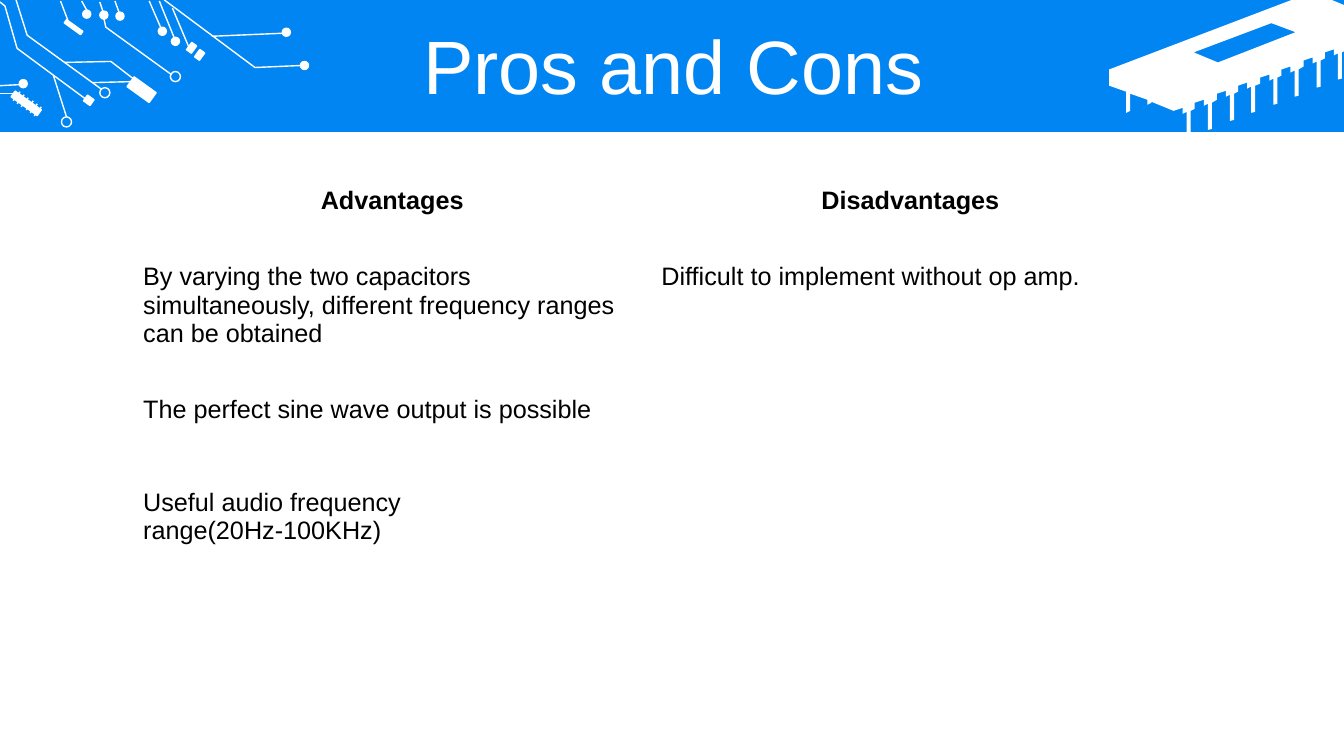
from pptx import Presentation
from pptx import util as u
from pptx.dml.color import RGBColor
from pptx.enum import shapes, text
from pptx.oxml.ns import qn
from lxml import etree

# Content
TITLE = "Pros and Cons"
ROWS = [
    ("Advantages", "Disadvantages"),
    ("By varying the two capacitors simultaneously, different frequency ranges can be obtained",
     "Difficult to implement without op amp."),
    ("The perfect sine wave output is possible", ""),
    ("Useful audio frequency range(20Hz-100KHz)", ""),
    ("", ""),
]
ROW_HEIGHTS = [76, 132, 92, 92, 76]
COLUMN_WIDTH = 514
FONT, BLUE, WHITE, BLACK = "Arial", "0085F2", "FFFFFF", "000000"

# Circuit artwork: left, top, width, height of parts; corner points of traces
TILT = 35.7
COMPONENTS = [(127, 83, 27, 12), (63, 25, 20, 4), (84, 96, 8, 7),
              (187, 43, 6, 9), (195, 50, 6, 9), (10, 99, 32, 7)]
DOT, RING = 8, 10
DOTS = [(298, 61), (280, 28), (82, 10), (99, 11), (115, 12), (19, 79), (170, 37), (157, 27)]
RINGS = [(169, 71), (99, 87), (61, 116)]
TRACES = [
    [(163, 0), (253, 67), (299, 65)],
    [(16, 0), (27, 35), (100, 88)],
    [(0, 2), (5, 6), (17, 48), (86, 99)],
    [(64, 62), (110, 61), (132, 78)],
    [(103, 18), (105, 27), (170, 74)],
    [(60, 1), (68, 22)], [(81, 1), (86, 10)], [(99, 2), (102, 11)], [(114, 1), (118, 12)],
    [(148, 1), (161, 31)], [(158, 1), (173, 38)], [(171, 8), (187, 46)],
    [(210, 36), (280, 33)], [(0, 85), (19, 84)], [(0, 93), (14, 93)],
    [(53, 75), (66, 116)], [(92, 82), (130, 81)],
]
COIL = [[(round(13 + 4.2 * turn), 100 + 3 * turn), (round(20 + 4.2 * turn), 91 + 3 * turn)]
        for turn in range(6)]

# Chip: eight equal pins run down its front edge
PIN = [(1331, 52), (1331, 78), (1327, 79), (1327, 53), (1323, 55), (1323, 49), (1314, 52), (1314, 58)]
PINS = [(x - round(150 * pin / 7), y + round(58 * pin / 7)) for pin in range(8) for x, y in PIN]
CHIP = ([(1281, 0), (1321, 0), (1333, 5), (1333, 51)] + PINS[:-1] +
        [(1142, 101), (1142, 102), (1138, 104), (1138, 99), (1121, 93), (1121, 110),
         (1117, 112), (1117, 91), (1100, 85), (1100, 69)])
CHIP_WINDOW = [(1261, 23), (1184, 52), (1208, 62), (1285, 32)]

PX = 9144  # EMU in one px, 100 px to the inch

presentation = Presentation()
presentation.slide_width, presentation.slide_height = 1333 * PX, 750 * PX
slide = presentation.slides.add_slide(presentation.slide_layouts[5])


def color(value):
    return RGBColor.from_string(value)


def style(shape, fill=None, line=None):
    shape.shadow.inherit = False
    if fill:
        shape.fill.solid()
        shape.fill.fore_color.rgb = color(fill)
    else:
        shape.fill.background()
    if line:
        shape.line.color.rgb = color(line)
        shape.line.width = u.Pt(1)
    else:
        shape.line.fill.background()


def add_preset(kind, box, fill=None, line=None, rotation=0):
    shape = slide.shapes.add_shape(kind, *(length * PX for length in box))
    shape.rotation = rotation
    style(shape, fill, line)


def add_outline(contours, closed, fill=None, line=None):
    builder = slide.shapes.build_freeform(*contours[0][0], scale=PX)
    builder.add_line_segments(contours[0][1:], close=closed)
    for contour in contours[1:]:
        builder.move_to(*contour[0])
        builder.add_line_segments(contour[1:], close=closed)
    style(builder.convert_to_shape(), fill, line)


def add_trace(points):
    if len(points) > 2:
        add_outline([points], False, line=WHITE)
        return
    ends = [length * PX for point in points for length in point]
    connector = slide.shapes.add_connector(shapes.MSO_CONNECTOR.STRAIGHT, *ends)
    connector.line.color.rgb = color(WHITE)
    connector.line.width = u.Pt(1)
    etree.SubElement(connector._element.spPr, qn("a:effectLst"))


def format_text(paragraph, size, value, bold=False, centered=False):
    paragraph.alignment = text.PP_ALIGN.CENTER if centered else text.PP_ALIGN.LEFT
    for run in paragraph.runs:
        run.font.name, run.font.size, run.font.bold = FONT, u.Pt(size), bold
        run.font.color.rgb = color(value)


# Header band and artwork
RECTANGLE, OVAL = shapes.MSO_SHAPE.RECTANGLE, shapes.MSO_SHAPE.OVAL
add_preset(RECTANGLE, (0, 0, 1333, 131), BLUE)
add_outline([CHIP, CHIP_WINDOW], True, WHITE)
for component in COMPONENTS:
    add_preset(RECTANGLE, component, WHITE, WHITE, TILT)
for left, top in DOTS:
    add_preset(OVAL, (left, top, DOT, DOT), WHITE, WHITE)
for left, top in RINGS:
    add_preset(OVAL, (left, top, RING, RING), line=WHITE)
for trace in TRACES + COIL:
    add_trace(trace)

# Title, brought in front of the band
title = slide.shapes.title
title.left, title.top, title.width, title.height = (length * PX for length in (35, 30, 1266, 79))
title.text_frame.text = TITLE
title.text_frame.vertical_anchor = text.MSO_ANCHOR.MIDDLE
title.text_frame.auto_size = text.MSO_AUTO_SIZE.NONE
heading = title.text_frame.paragraphs[0]
heading.line_spacing = 0.9
format_text(heading, 54, WHITE, centered=True)
slide.shapes._spTree.append(title._element)

# Table of pros and cons
frame = slide.shapes.add_table(len(ROWS), 2, 132 * PX, 180 * PX,
                               2 * COLUMN_WIDTH * PX, sum(ROW_HEIGHTS) * PX)
table = frame.table
table.first_row = table.horz_banding = False
for column in table.columns:
    column.width = COLUMN_WIDTH * PX
for row_index, (row, height) in enumerate(zip(ROWS, ROW_HEIGHTS)):
    table.rows[row_index].height = height * PX
    for column_index, wording in enumerate(row):
        cell = table.cell(row_index, column_index)
        cell.fill.background()
        cell.text_frame.text = wording
        is_header = row_index == 0
        format_text(cell.text_frame.paragraphs[0], 18, BLACK, is_header, is_header)

presentation.save("out.pptx")
